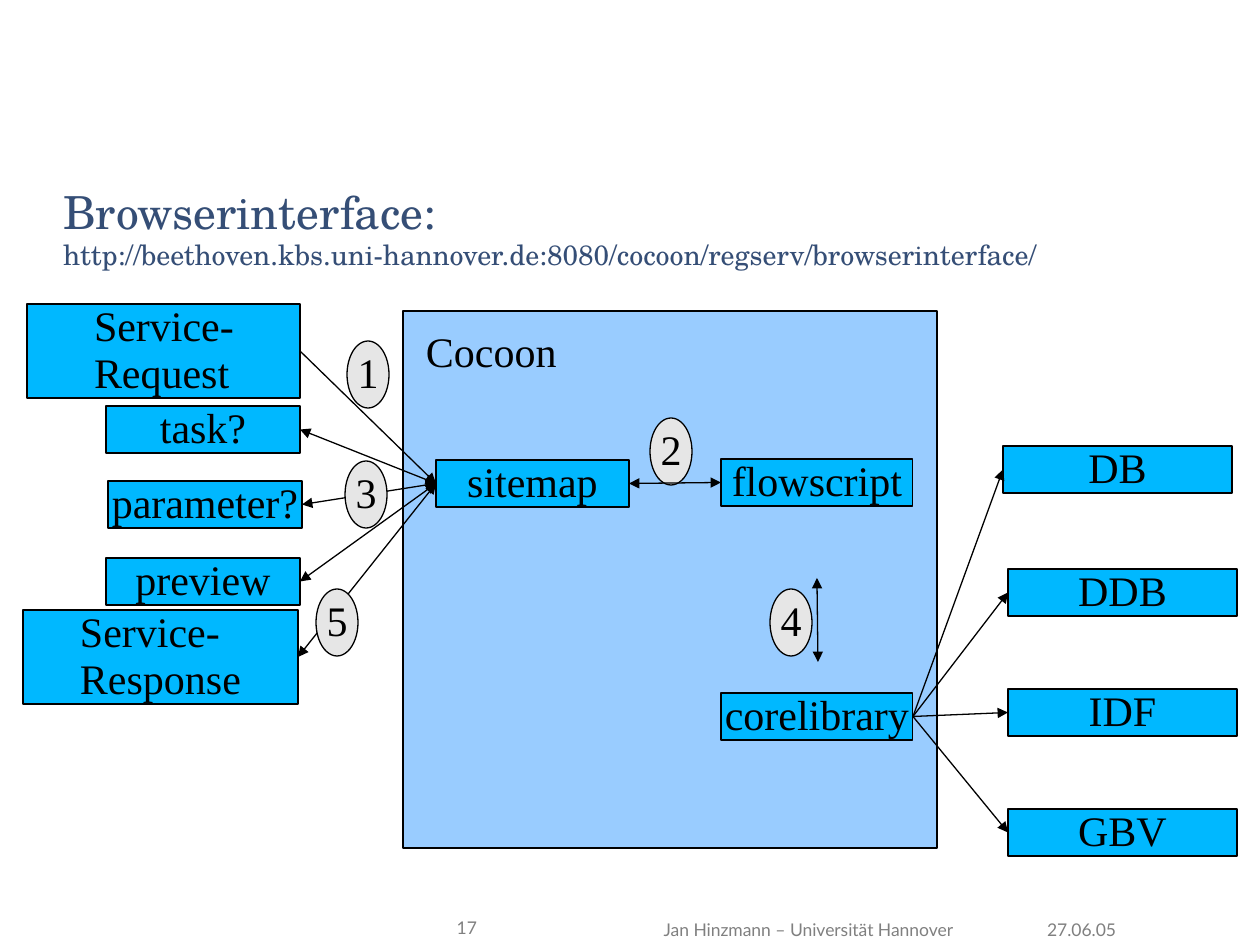
from lxml.etree import SubElement
from pptx import Presentation
from pptx.dml.color import RGBColor as RGB
from pptx.enum.shapes import MSO_CONNECTOR as CONNECTOR, MSO_SHAPE as SHAPE
from pptx.enum.text import MSO_ANCHOR as ANCHOR, PP_ALIGN as ALIGN
from pptx.oxml.ns import qn
from pptx.util import Pt


class Theme:
    title_color = RGB.from_string("354E76")
    footer_color = RGB.from_string("808080")
    ink = RGB.from_string("000000")
    box_fill = RGB.from_string("00B8FF")
    container_fill = RGB.from_string("99CCFF")
    step_fill = RGB.from_string("E6E6E6")
    title_font = "TeX Gyre Schola"
    footer_font = "Lato"
    body_font = "Times New Roman"
    title_size = Pt(26)
    address_size = Pt(16)
    body_size = Pt(24)
    footer_size = Pt(10)
    line_width = Pt(0.75)


PX = 914400 / 126
RIGHT, LEFT = 3, 1


def write(shape, text, align=ALIGN.CENTER, anchor=ANCHOR.MIDDLE, font=Theme.body_font,
          sizes=(Theme.body_size,), color=Theme.ink, spacing=0.93, margins=(0, 0, 0), wrap=False):
    frame = shape.text_frame
    frame.text = text
    frame.word_wrap = wrap
    frame.vertical_anchor = anchor
    left, vertical, right = (int(value * PX) for value in margins)
    frame.margin_left, frame.margin_right = left, right
    frame.margin_top = frame.margin_bottom = vertical
    paragraph = frame.paragraphs[0]
    paragraph.alignment = align
    paragraph.line_spacing = spacing
    for run, size in zip(paragraph.runs, sizes):
        run.font.name = font
        run.font.size = size
        run.font.color.rgb = color


def add_figure(kind, fill, *bounds):
    shape = slide.shapes.add_shape(kind, *(int(value * PX) for value in bounds))
    shape.shadow.inherit = False
    shape.fill.solid()
    shape.fill.fore_color.rgb = fill
    shape.line.color.rgb = Theme.ink
    shape.line.width = Theme.line_width
    return shape


presentation = Presentation()
presentation.slide_width = int(1260 * PX)
presentation.slide_height = int(945 * PX)
slide = presentation.slides.add_slide(presentation.slide_layouts[6])

for text, left, top, width in [
    ("27.06.05", 940, 914, 189),
    ("Jan Hinzmann – Universität Hannover", 535, 914, 431),
    ("17", 59, 912, 431),
]:
    footer = slide.shapes.add_textbox(*(int(value * PX) for value in (left, top, width, 33)))
    write(footer, text, ALIGN.RIGHT, ANCHOR.TOP, Theme.footer_font, (Theme.footer_size,),
          Theme.footer_color, 0.97, (13, 6, 13), True)

title = slide.shapes.add_textbox(*(int(value * PX) for value in (63, 170, 1154, 120)))
write(title, "Browserinterface:\vhttp://beethoven.kbs.uni-hannover.de:8080/cocoon/regserv/browserinterface/",
      ALIGN.LEFT, font=Theme.title_font, sizes=(Theme.title_size, Theme.address_size),
      color=Theme.title_color, spacing=0.95, wrap=True)

add_figure(SHAPE.RECTANGLE, Theme.container_fill, 403, 311, 534, 537)
container_label = slide.shapes.add_textbox(*(int(value * PX) for value in (426, 330, 178, 47)))
write(container_label, "Cocoon", ALIGN.LEFT, ANCHOR.TOP, wrap=True)

boxes = {}
for name, left, top, width in [
    ("sitemap", 436, 460, 193),
    ("flowscript", 721, 459, 192),
    ("corelibrary", 721, 693, 192),
    ("DB", 1003, 446, 229),
    *((name, 1008, 569 + 120 * row, 229) for row, name in enumerate(["DDB", "IDF", "GBV"])),
    ("task?", 106, 406, 194),
    ("parameter?", 108, 481, 194),
    ("preview", 106, 558, 194),
]:
    boxes[name] = add_figure(SHAPE.RECTANGLE, Theme.box_fill, left, top, width, 47)
    write(boxes[name], name)

for name, left, top, width, indent in [
    ("Service-Request", 27, 304, 273, 67),
    ("Service-Response", 23, 610, 275, 57),
]:
    boxes[name] = add_figure(SHAPE.RECTANGLE, Theme.box_fill, left, top, width, 94)
    write(boxes[name], name, ALIGN.LEFT, margins=(indent, 0, 20), wrap=True)

links = [
    *(("corelibrary", RIGHT, name, LEFT, False) for name in ["DB", "DDB", "IDF", "GBV"]),
    ("Service-Request", RIGHT, "sitemap", LEFT, False),
    ("sitemap", RIGHT, "flowscript", LEFT, True),
    *(("sitemap", LEFT, name, RIGHT, True)
      for name in ["parameter?", "preview", "Service-Response", "task?"]),
]
steps_behind = [("1", 347, 341), ("2", 650, 418), ("4", 770, 589)]
steps_in_front = [("3", 345, 461), ("5", 316, 589)]

for layer, steps in enumerate([steps_behind, steps_in_front]):
    for number, left, top in steps:
        step = add_figure(SHAPE.OVAL, Theme.step_fill, left, top, 42, 67)
        write(step, number)
    if layer == 0:
        arrows = []
        for start, start_side, end, end_side, both_ways in links:
            arrow = slide.shapes.add_connector(CONNECTOR.STRAIGHT, 0, 0, 0, 0)
            arrow.begin_connect(boxes[start], start_side)
            arrow.end_connect(boxes[end], end_side)
            arrows.append((arrow, both_ways))
        core_arrow = slide.shapes.add_connector(
            CONNECTOR.STRAIGHT, *(int(value * PX) for value in (817, 578, 818, 662)))
        arrows.append((core_arrow, True))
        for arrow, both_ways in arrows:
            arrow.line.color.rgb = Theme.ink
            arrow.line.width = Theme.line_width
            line = arrow.line._get_or_add_ln()
            for tag in ["a:headEnd", "a:tailEnd"] if both_ways else ["a:tailEnd"]:
                SubElement(line, qn(tag), type="triangle")
            SubElement(arrow._element.spPr, qn("a:effectLst"))

presentation.save("out.pptx")
